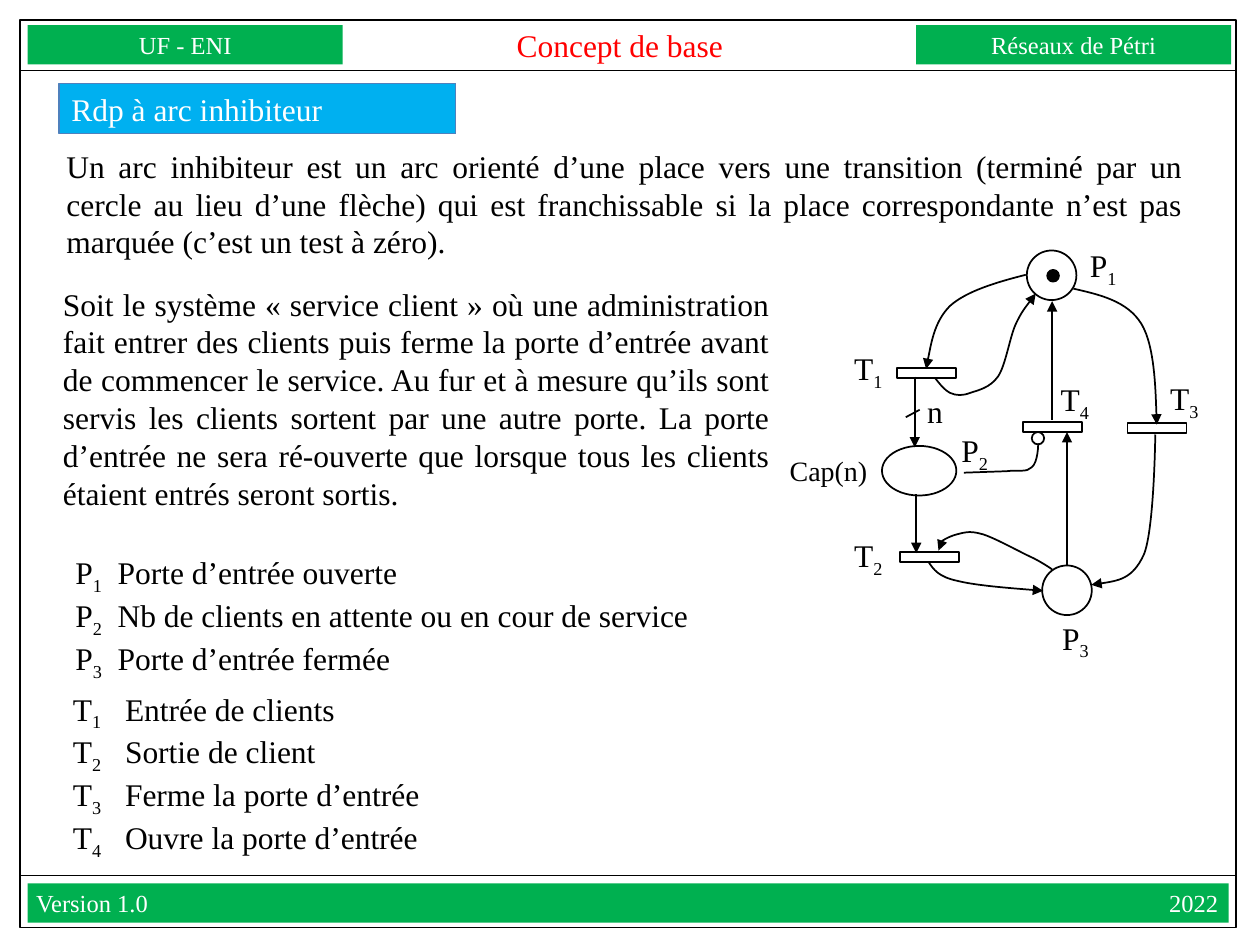
from dataclasses import dataclass

from lxml.etree import SubElement
from pptx import Presentation
from pptx.dml.color import RGBColor
from pptx.enum.shapes import MSO_CONNECTOR as Connector, MSO_SHAPE as Preset
from pptx.enum.text import MSO_ANCHOR as Anchor, MSO_AUTO_SIZE as AutoSize, PP_ALIGN as Align
from pptx.oxml.ns import qn
from pptx.util import Cm, Pt

BLACK = RGBColor(0x00, 0x00, 0x00)
WHITE = RGBColor(0xFF, 0xFF, 0xFF)
RED = RGBColor(0xFF, 0x00, 0x00)
GREEN = RGBColor(0x00, 0xB0, 0x50)
SKY = RGBColor(0x00, 0xB0, 0xF0)
STEEL = RGBColor(0x4F, 0x81, 0xBD)
FONT = "Times New Roman"
NO_INSETS = (0, 0, 0, 0)
NARROW_INSETS = (0.1, 0.13, 0.1, 0.13)


@dataclass(frozen=True)
class Frame:
    left: float
    top: float
    width: float
    height: float

    def lengths(self) -> tuple:
        return Cm(self.left), Cm(self.top), Cm(self.width), Cm(self.height)


@dataclass(frozen=True)
class Curve:
    points: list
    arrow: bool = True


@dataclass(frozen=True)
class Legend:
    placeholder: int
    frame: Frame
    letter: str
    indent: float
    meanings: list


HEADERS = [("UF - ENI", 0.56), ("Réseaux de Pétri", 18.47)]
PLACES = [Frame(20.7, 5.05, 1, 1), Frame(17.78, 8.99, 1.5, 1), Frame(21.01, 11.4, 1, 1)]
INHIBITOR_END = Frame(20.8, 8.71, 0.25, 0.25)
TOKEN = Frame(21.13, 5.46, 0.2, 0.2)
TRANSITIONS = [(18.08, 7.42), (18.14, 11.13), (22.73, 8.53), (20.62, 8.51)]
STRAIGHT_ARCS = [
    ((18.44, 7.59), (18.44, 9.02)),
    ((18.47, 9.96), (18.47, 11.15)),
    ((21.21, 8.46), (21.21, 6.07)),
    ((21.51, 11.38), (21.51, 8.71)),
]
CURVED_ARCS = [
    Curve([(20.68, 5.54), (20.09, 5.69), (19.48, 5.87), (19.15, 6.17),
           (18.82, 6.5), (18.67, 7.44), (18.67, 7.44)]),
    Curve([(18.85, 7.62), (18.95, 7.75), (19.05, 7.87), (19.15, 7.92),
           (19.28, 7.98), (19.41, 7.98), (19.56, 7.92),
           (19.71, 7.87), (19.96, 7.82), (20.12, 7.59),
           (20.27, 7.37), (20.35, 6.83), (20.47, 6.55),
           (20.6, 6.27), (20.88, 5.92), (20.88, 5.92)]),
    Curve([(18.72, 11.33), (18.82, 11.48), (18.92, 11.63), (19.3, 11.71),
           (19.69, 11.81), (21.03, 11.91), (21.03, 11.91)]),
    Curve([(21.21, 11.48), (21.21, 11.48), (21.08, 11.38), (20.83, 11.25),
           (20.6, 11.15), (20.07, 10.85), (19.81, 10.77),
           (19.53, 10.69), (19.43, 10.74), (19.3, 10.77),
           (19.18, 10.8), (19.08, 10.85), (19, 10.9),
           (18.95, 10.95), (18.92, 11.02), (18.92, 11.1)]),
    Curve([(19.43, 9.53), (19.7, 9.52), (20, 9.51), (20.29, 9.5),
           (20.52, 9.47), (20.7, 9.53), (20.8, 9.42),
           (20.93, 9.32), (20.93, 8.94), (20.93, 8.94)], arrow=False),
    Curve([(21.64, 5.82), (22.17, 5.94), (22.73, 6.07), (23.01, 6.53),
           (23.29, 6.99), (23.32, 8.56), (23.32, 8.56)]),
    Curve([(23.29, 8.76), (23.29, 8.76), (23.27, 10.67), (23.06, 11.18),
           (22.83, 11.68), (22.43, 11.73), (22, 11.79)]),
]
NODE_LABELS = [
    ("P", 1, 21.72, 4.83), ("P", 2, 19.13, 8.56), ("P", 3, 21.16, 12.34),
    ("T", 1, 16.97, 6.91), ("T", 2, 16.97, 10.67),
    ("T", 3, 23.34, 7.52), ("T", 4, 21.13, 7.54),
]
LEGENDS = [
    Legend(1, Frame(1.27, 11.02, 13.92, 2.57), "P", 0.85, [
        "Porte d’entrée ouverte",
        "Nb de clients en attente ou en cour de service",
        "Porte d’entrée fermée"]),
    Legend(2, Frame(1.22, 13.77, 7.95, 3.33), "T", 1.05, [
        "Entrée de clients", "Sortie de client",
        "Ferme la porte d’entrée", "Ouvre la porte d’entrée"]),
]
INTRO = ("Un arc inhibiteur est un arc orienté d’une place vers une transition (terminé par un "
         "cercle au lieu d’une flèche) qui est franchissable si la place correspondante n’est pas "
         "marquée (c’est un test à zéro).")
STORY = ("Soit le système « service client » où une administration fait entrer des clients puis "
         "ferme la porte d’entrée avant de commencer le service. Au fur et à mesure qu’ils sont "
         "servis les clients sortent par une autre porte. La porte d’entrée ne sera ré-ouverte "
         "que lorsque tous les clients étaient entrés seront sortis.")


def set_font(para, size: float = 18, color: RGBColor = BLACK) -> None:
    para.font.name, para.font.size = FONT, Pt(size)
    para.font.color.rgb = color


def prepare(box, insets: tuple = (0.25, 0.13, 0.25, 0.13), anchor=Anchor.TOP, wrap: bool = True):
    text = box.text_frame
    text.auto_size, text.word_wrap, text.vertical_anchor = AutoSize.NONE, wrap, anchor
    text.margin_left, text.margin_top, text.margin_right, text.margin_bottom = map(Cm, insets)
    return text.paragraphs[0]


def write(box, words: str, size: float = 18, color: RGBColor = BLACK, align=Align.LEFT, **layout):
    para = prepare(box, **layout)
    para.text, para.alignment = words, align
    set_font(para, size, color)
    return para


def add_symbol(para, letter: str, number: int) -> None:
    para.add_run().text = letter
    span = para.add_run()
    span.text = str(number)
    span._r.get_or_add_rPr().set("baseline", "-25000")


def add_preset(page, preset, frame: Frame, fill=None, line=BLACK, weight: float = 1):
    shape = page.shapes.add_shape(preset, *frame.lengths())
    shape.shadow.inherit = False
    if fill is None:
        shape.fill.background()
    else:
        shape.fill.solid()
        shape.fill.fore_color.rgb = fill
    if line is None:
        shape.line.fill.background()
    else:
        shape.line.color.rgb, shape.line.width = line, Pt(weight)
    return shape


def add_text(page, words: str, frame: Frame, **style):
    return write(page.shapes.add_textbox(*frame.lengths()), words, **style)


def add_arrowhead(shape) -> None:
    SubElement(shape._element.spPr.find(qn("a:ln")), qn("a:tailEnd"), type="triangle")


def add_line(page, start: tuple, end: tuple, weight: float = 1, arrow: bool = False) -> None:
    line = page.shapes.add_connector(Connector.STRAIGHT, *map(Cm, start + end))
    line.line.color.rgb, line.line.width = BLACK, Pt(weight)
    if arrow:
        add_arrowhead(line)
    SubElement(line._element.spPr, qn("a:effectLst"))


def add_curve(page, curve: Curve) -> None:
    start, *controls = [(Cm(x), Cm(y)) for x, y in curve.points]
    builder = page.shapes.build_freeform(*start)
    builder.add_line_segments(controls, close=False)
    shape = builder.convert_to_shape()
    shape.shadow.inherit = False
    shape.fill.background()
    shape.line.color.rgb, shape.line.width = BLACK, Pt(1)
    outline = next(shape._element.iter(qn("a:path")))
    segments = outline.findall(qn("a:lnTo"))
    for first in range(0, len(segments), 3):
        bezier = SubElement(outline, qn("a:cubicBezTo"))
        for segment in segments[first:first + 3]:
            bezier.append(segment[0])
            outline.remove(segment)
    if curve.arrow:
        add_arrowhead(shape)


def move(box, frame: Frame) -> None:
    box.left, box.top, box.width, box.height = frame.lengths()


def fill_legend(page, legend: Legend) -> None:
    box = page.placeholders[legend.placeholder]
    move(box, legend.frame)
    para = prepare(box)
    for number, meaning in enumerate(legend.meanings, 1):
        if number > 1:
            para = box.text_frame.add_paragraph()
        add_symbol(para, legend.letter, number)
        para.add_run().text = "\t" + meaning
        para.space_before = Pt(0)
        properties = para._p.get_or_add_pPr()
        properties.set("marL", str(Cm(legend.indent)))
        properties.set("indent", str(-Cm(legend.indent)))
        SubElement(properties, qn("a:buNone"))
        set_font(para)


def draw_template(page) -> None:
    add_preset(page, Preset.RECTANGLE, Frame(0.41, 0.41, 24.51, 18.29))
    for height in (1.42, 17.65):
        add_line(page, (0.41, height), (24.89, height), 0.75)
    for words, left in HEADERS:
        header = add_preset(page, Preset.RECTANGLE, Frame(left, 0.51, 6.35, 0.79), GREEN, None)
        write(header, words, 14, WHITE, Align.CENTER, insets=NO_INSETS, anchor=Anchor.MIDDLE)
    footer = add_preset(page, Preset.RECTANGLE, Frame(0.56, 17.81, 24.21, 0.79), GREEN, None)
    para = write(footer, "Version 1.0\t2022", 14, WHITE, insets=(0.17, 0, 0, 0), anchor=Anchor.MIDDLE)
    tabs = para._p.get_or_add_pPr().find(qn("a:defRPr"))
    stops = SubElement(para._p.pPr, qn("a:tabLst"))
    SubElement(stops, qn("a:tab"), pos=str(Cm(23.83)), algn="r")
    tabs.addprevious(stops)
    move(page.shapes.title, Frame(9.32, 0.51, 6.35, 0.79))
    write(page.shapes.title, "Concept de base", 18, RED, Align.CENTER,
          insets=NO_INSETS, anchor=Anchor.MIDDLE)


def draw_net(page) -> None:
    for place in PLACES + [INHIBITOR_END]:
        add_preset(page, Preset.OVAL, place)
    add_preset(page, Preset.OVAL, TOKEN, BLACK, weight=2)
    for left, top in TRANSITIONS:
        add_preset(page, Preset.RECTANGLE, Frame(left, top, 1.19, 0.2))
    for start, end in STRAIGHT_ARCS:
        add_line(page, start, end, arrow=True)
    add_line(page, (18.26, 8.41), (18.54, 8.26))
    for curve in CURVED_ARCS:
        add_curve(page, curve)
    for letter, number, left, top in NODE_LABELS:
        para = add_text(page, "", Frame(left, top, 1.1, 1.02), wrap=False)
        add_symbol(para, letter, number)
    add_text(page, "Cap(n)", Frame(15.82, 9.02, 1.96, 0.94), size=16, insets=NARROW_INSETS)
    add_text(page, "n", Frame(18.59, 7.77, 0.76, 1.02), insets=NARROW_INSETS)


def main() -> None:
    deck = Presentation()
    deck.slide_width, deck.slide_height = Cm(25.4), Cm(19.05)
    page = deck.slides.add_slide(deck.slide_layouts[3])
    draw_template(page)
    banner = add_preset(page, Preset.RECTANGLE, Frame(1.19, 1.68, 8, 1.02), SKY, STEEL, 0.75)
    write(banner, "Rdp à arc inhibiteur", color=WHITE, anchor=Anchor.MIDDLE)
    add_text(page, INTRO, Frame(1.09, 2.82, 23.01, 2.57), align=Align.JUSTIFY, anchor=Anchor.MIDDLE)
    add_text(page, STORY, Frame(1.17, 5.61, 14.45, 4.88), align=Align.JUSTIFY, insets=NARROW_INSETS)
    for legend in LEGENDS:
        fill_legend(page, legend)
    draw_net(page)
    deck.save("out.pptx")


if __name__ == "__main__":
    main()
